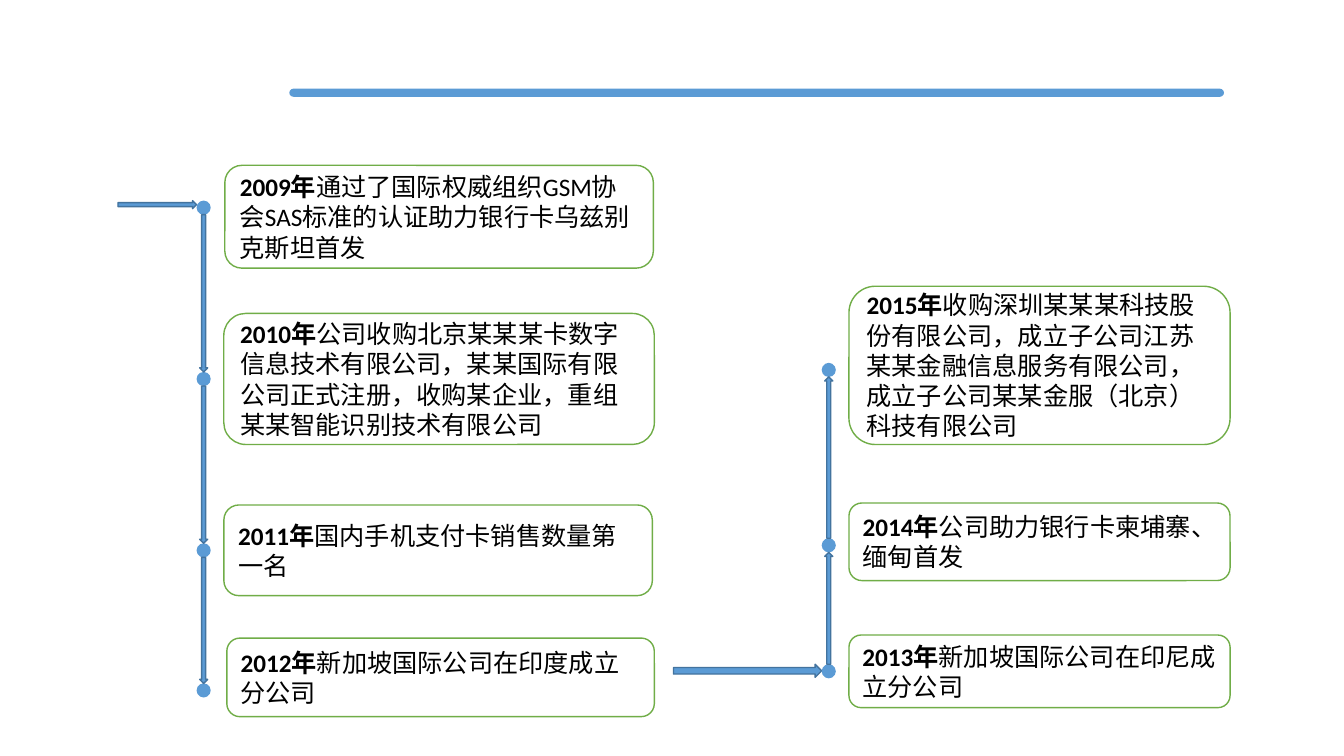
from pptx import Presentation
from pptx import util as u
from pptx.dml.color import RGBColor
from pptx.enum import shapes, text

BLUE = RGBColor(0x5B, 0x9B, 0xD5)
NAVY = RGBColor(0x43, 0x73, 0x9E)
GREEN = RGBColor(0x70, 0xAD, 0x47)
WHITE = RGBColor(0xFF, 0xFF, 0xFF)
BLACK = RGBColor(0, 0, 0)
KIND = shapes.MSO_SHAPE

WIDTH, HEIGHT = 13.33, 7.5
DOT = 0.14
SHAFT = 0.08
FONT = "Calibri"

RAILS = [
    (1.95, KIND.DOWN_ARROW, [
        (1.99, (2.23, 1.64, 4.25, 1.02), "2009年",
         "通过了国际权威组织GSM协会SAS标准的认证助力银行卡乌兹别克斯坦首发"),
        (3.69, (2.22, 3.11, 4.27, 1.3), "2010年",
         "公司收购北京某某某卡数字信息技术有限公司，某某国际有限公司正式注册，收购某企业，重组某某智能识别技术有限公司"),
        (5.39, (2.22, 5.01, 4.25, 0.9), "2011年",
         "国内手机支付卡销售数量第一名"),
        (6.78, (2.25, 6.33, 4.24, 0.78), "2012年",
         "新加坡国际公司在印度成立分公司"),
    ]),
    (8.15, KIND.UP_ARROW, [
        (3.6, (8.42, 2.84, 3.78, 1.57), "2015年",
         "收购深圳某某某科技股份有限公司，成立子公司江苏某某金融信息服务有限公司，成立子公司某某金服（北京）科技有限公司"),
        (5.34, (8.42, 4.99, 3.78, 0.77), "2014年",
         "公司助力银行卡柬埔寨、缅甸首发"),
        (6.59, (8.42, 6.3, 3.78, 0.72), "2013年",
         "新加坡国际公司在印尼成立分公司"),
    ]),
]
ENTRY_ARROWS = [(1.17, 1.99, 0.78, 0.08), (6.68, 6.59, 1.47, 0.13)]
HEADER_BAR = (2.87, 0.88, 9.27, 0.08)


def add_shape(slide, kind, box, fill, line=None):
    sp = slide.shapes.add_shape(kind, *(u.Inches(v) for v in box))
    sp.shadow.inherit = False
    sp.fill.solid()
    sp.fill.fore_color.rgb = fill
    if line is None:
        sp.line.fill.background()
    else:
        sp.line.color.rgb = line
        sp.line.width = u.Pt(1)
    return sp


def add_text(p, words, size=18, bold=False, color=BLACK):
    r = p.add_run()
    r.text = words
    r.font.name = FONT
    r.font.size = u.Pt(size)
    r.font.bold = bold
    r.font.color.rgb = color


def add_event(slide, box, year, story):
    sp = add_shape(slide, KIND.ROUNDED_RECTANGLE, box, WHITE, GREEN)
    tf = sp.text_frame
    tf.word_wrap = True
    tf.vertical_anchor = text.MSO_ANCHOR.MIDDLE
    p = tf.paragraphs[0]
    p.alignment = text.PP_ALIGN.LEFT
    add_text(p, year, bold=True)
    add_text(p, story)


def add_rail(slide, x, arrow, events):
    for y, box, year, story in events:
        add_shape(slide, KIND.OVAL, (x, y, DOT, DOT), BLUE)
        add_event(slide, box, year, story)
    tops = [event[0] for event in events]
    for upper, lower in zip(tops, tops[1:]):
        box = (x + (DOT - SHAFT) / 2, upper + DOT, SHAFT, lower - upper - DOT)
        add_shape(slide, arrow, box, BLUE, NAVY)


def main():
    prs = Presentation()
    prs.slide_width = u.Inches(WIDTH)
    prs.slide_height = u.Inches(HEIGHT)
    slide = prs.slides.add_slide(prs.slide_layouts[6])
    bar = add_shape(slide, KIND.ROUNDED_RECTANGLE, HEADER_BAR, BLUE)
    bar.adjustments[0] = 0.5
    for box in ENTRY_ARROWS:
        add_shape(slide, KIND.RIGHT_ARROW, box, BLUE, NAVY)
    for rail in RAILS:
        add_rail(slide, *rail)
    prs.save("out.pptx")


if __name__ == "__main__":
    main()
